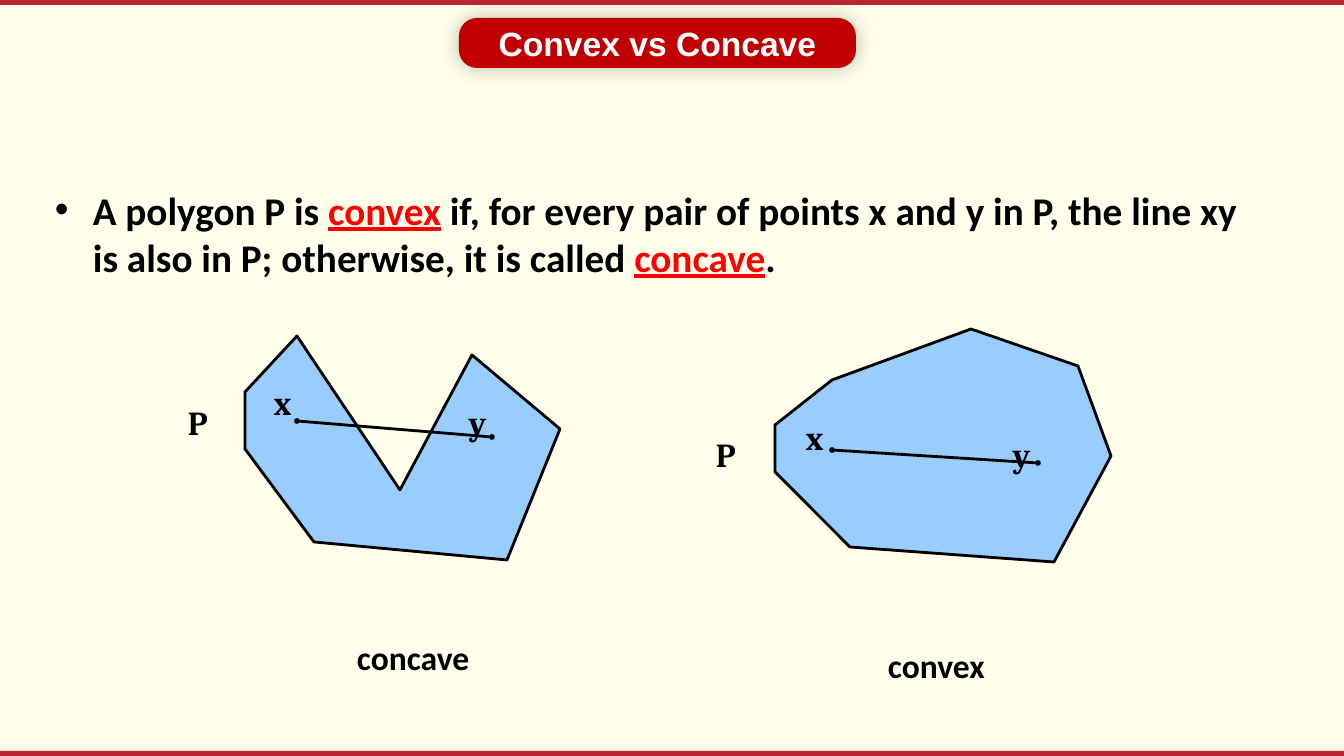
from lxml import etree
from pptx import Presentation
from pptx.dml.color import RGBColor
from pptx.enum.shapes import MSO_CONNECTOR, MSO_SHAPE
from pptx.enum.text import MSO_ANCHOR, PP_ALIGN
from pptx.oxml import parse_xml
from pptx.oxml.ns import qn
from pptx.util import Emu, Pt

RECTANGLE = MSO_SHAPE.RECTANGLE
ROUNDED = MSO_SHAPE.ROUNDED_RECTANGLE
STRAIGHT = MSO_CONNECTOR.STRAIGHT
MIDDLE = MSO_ANCHOR.MIDDLE
CENTER = PP_ALIGN.CENTER

EMU_PER_PX = 914400 / 100.8
PAGE_WIDTH, PAGE_HEIGHT = 1344, 756
BAR_HEIGHT = 5

BACKGROUND = "FFFFEB"
BAR_RED = "BA2532"
TITLE_RED = "C00000"
TERM_RED = "FF0000"
POLYGON_BLUE = "99CCFF"
BLACK = "000000"
WHITE = "FFFFFF"

DEFINITION = [
    ("A polygon P is ", False),
    ("convex", True),
    (" if, for every pair of points x and y in P, the line xy is also in P; "
     "otherwise, it is called ", False),
    ("concave", True),
    (".", False),
]

FIGURES = [
    {
        "outline": [(297, 336), (400, 490), (472, 355), (560, 429),
                    (507, 560), (314, 542), (245, 449), (245, 392)],
        "segment": (297, 421, 492, 437),
        "labels": [("x", (264, 377, 78, 114)), ("y", (459, 397, 78, 112)),
                   ("P", (178, 397, 85, 112))],
        "caption": ("concave", (347, 632, 134, 50)),
    },
    {
        "outline": [(832, 380), (971, 329), (1078, 366), (1111, 456),
                    (1054, 562), (850, 547), (775, 472), (775, 425)],
        "segment": (832, 450, 1038, 463),
        "labels": [("x", (796, 412, 83, 93)), ("y", (1003, 429, 83, 92)),
                   ("P", (706, 429, 91, 92))],
        "caption": ("convex", (878, 640, 118, 50)),
    },
]

SHADOW = (
    '<a:effectLst xmlns:a="http://schemas.openxmlformats.org/drawingml/2006/main">'
    '<a:outerShdw blurRad="190500" dist="0" dir="0" algn="ctr" rotWithShape="0">'
    '<a:srgbClr val="000000"><a:alpha val="25000"/></a:srgbClr>'
    '</a:outerShdw></a:effectLst>'
)


def px(length):
    return Emu(round(length * EMU_PER_PX))


def scaled(lengths):
    return [px(length) for length in lengths]


def color(hex_code):
    return RGBColor.from_string(hex_code)


def style_span(span, size, font, hex_code):
    span.font.size = Pt(size)
    span.font.name = font
    span.font.bold = True
    span.font.color.rgb = color(hex_code)


def style_line(line):
    line.color.rgb = color(BLACK)
    line.width = Pt(2)


def add_block(page, kind, place, fill):
    block = page.shapes.add_shape(kind, *scaled(place))
    block.shadow.inherit = False
    block.fill.solid()
    block.fill.fore_color.rgb = color(fill)
    block.line.fill.background()
    return block


def add_title(page, text):
    title = add_block(page, ROUNDED, (459, 18, 397, 50), TITLE_RED)
    title.adjustments[0] = 0.36
    properties = title.fill._xPr
    properties.replace(properties.find(qn("a:effectLst")), parse_xml(SHADOW))
    frame = title.text_frame
    frame.text = text
    frame.vertical_anchor = MIDDLE
    para = frame.paragraphs[0]
    para.alignment = CENTER
    style_span(para.runs[0], 24, "Arial", WHITE)


def add_definition(page):
    box = page.shapes.add_textbox(*scaled((45, 181, 1207, 524)))
    box.text_frame.word_wrap = True
    para = box.text_frame.paragraphs[0]
    para.space_before = Pt(5.6)
    properties = para._p.get_or_add_pPr()
    properties.set("marL", str(px(38)))
    properties.set("indent", str(px(-38)))
    etree.SubElement(properties, qn("a:buFont"), typeface="Arial")
    etree.SubElement(properties, qn("a:buChar"), char="•")
    for text, is_term in DEFINITION:
        span = para.add_run()
        span.text = text
        style_span(span, 28, "Calibri", TERM_RED if is_term else BLACK)
        span.font.underline = is_term


def add_label(shapes, text, place, font):
    box = shapes.add_textbox(*scaled(place))
    frame = box.text_frame
    frame.word_wrap = True
    frame.margin_right = 0
    frame.text = text
    style_span(frame.paragraphs[0].runs[0], 24, font, BLACK)


def add_polygon(shapes, outline):
    start, *corners = [scaled(point) for point in outline]
    builder = shapes.build_freeform(*start)
    builder.add_line_segments(corners, close=True)
    polygon = builder.convert_to_shape()
    polygon.shadow.inherit = False
    polygon.fill.solid()
    polygon.fill.fore_color.rgb = color(POLYGON_BLUE)
    style_line(polygon.line)


def add_segment(shapes, ends):
    """Draw a line with a small dot at each end."""
    segment = shapes.add_connector(STRAIGHT, *scaled(ends))
    style_line(segment.line)
    outline = segment.line._get_or_add_ln()
    for end in ("a:headEnd", "a:tailEnd"):
        etree.SubElement(outline, qn(end), type="oval", w="sm", len="sm")
    etree.SubElement(segment._element.spPr, qn("a:effectLst"))


def add_figure(page, figure):
    shapes = page.shapes.add_group_shape().shapes
    add_polygon(shapes, figure["outline"])
    add_segment(shapes, figure["segment"])
    for text, place in figure["labels"]:
        add_label(shapes, text, place, "Cambria")
    add_label(page.shapes, *figure["caption"], "Calibri")


def main():
    deck = Presentation()
    deck.slide_width, deck.slide_height = px(PAGE_WIDTH), px(PAGE_HEIGHT)
    page = deck.slides.add_slide(deck.slide_layouts[6])
    page.background.fill.solid()
    page.background.fill.fore_color.rgb = color(BACKGROUND)
    for top in (PAGE_HEIGHT - BAR_HEIGHT, 0):
        add_block(page, RECTANGLE, (0, top, PAGE_WIDTH, BAR_HEIGHT), BAR_RED)
    add_definition(page)
    for figure in FIGURES:
        add_figure(page, figure)
    add_title(page, "Convex vs Concave")
    deck.save("out.pptx")


if __name__ == "__main__":
    main()
